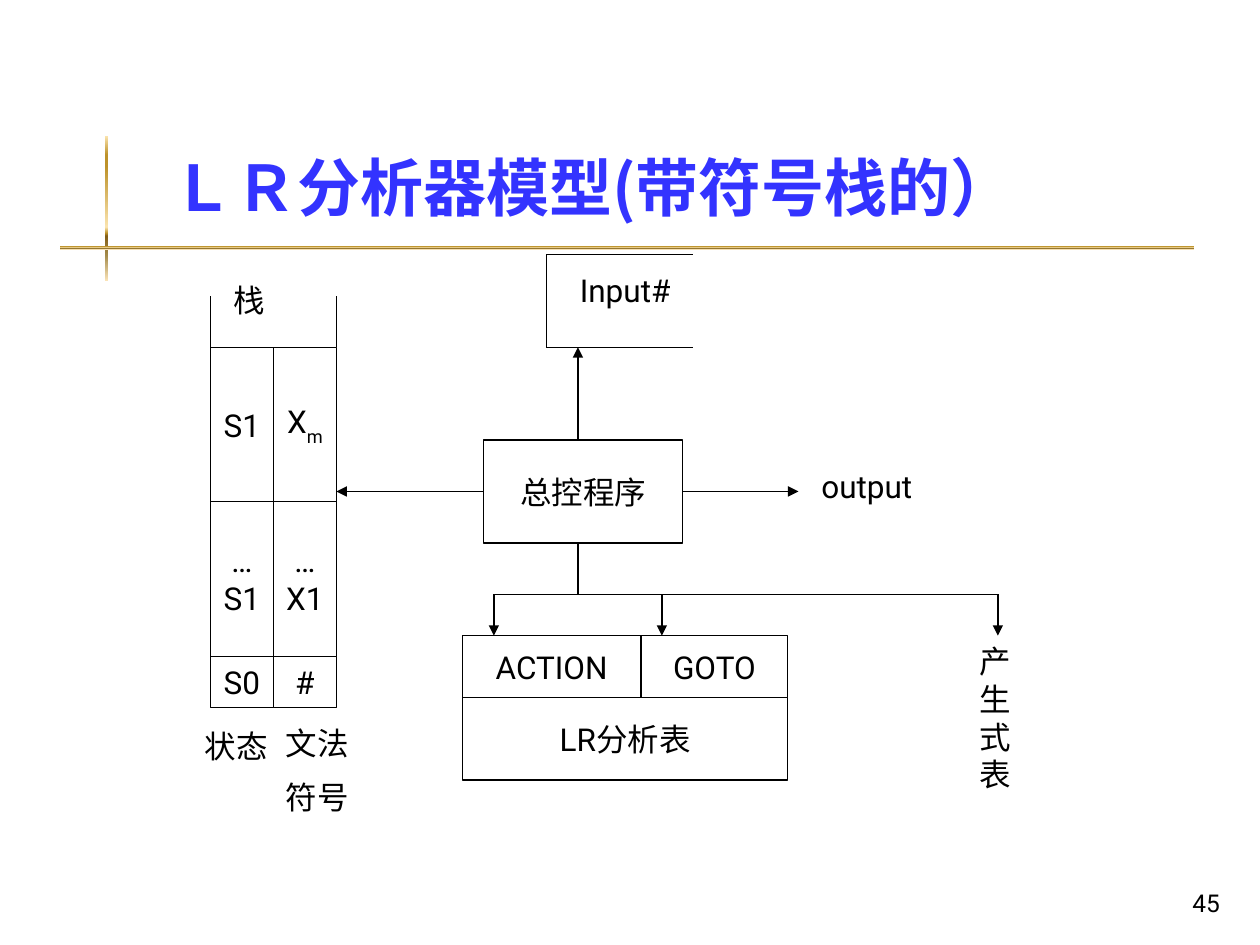
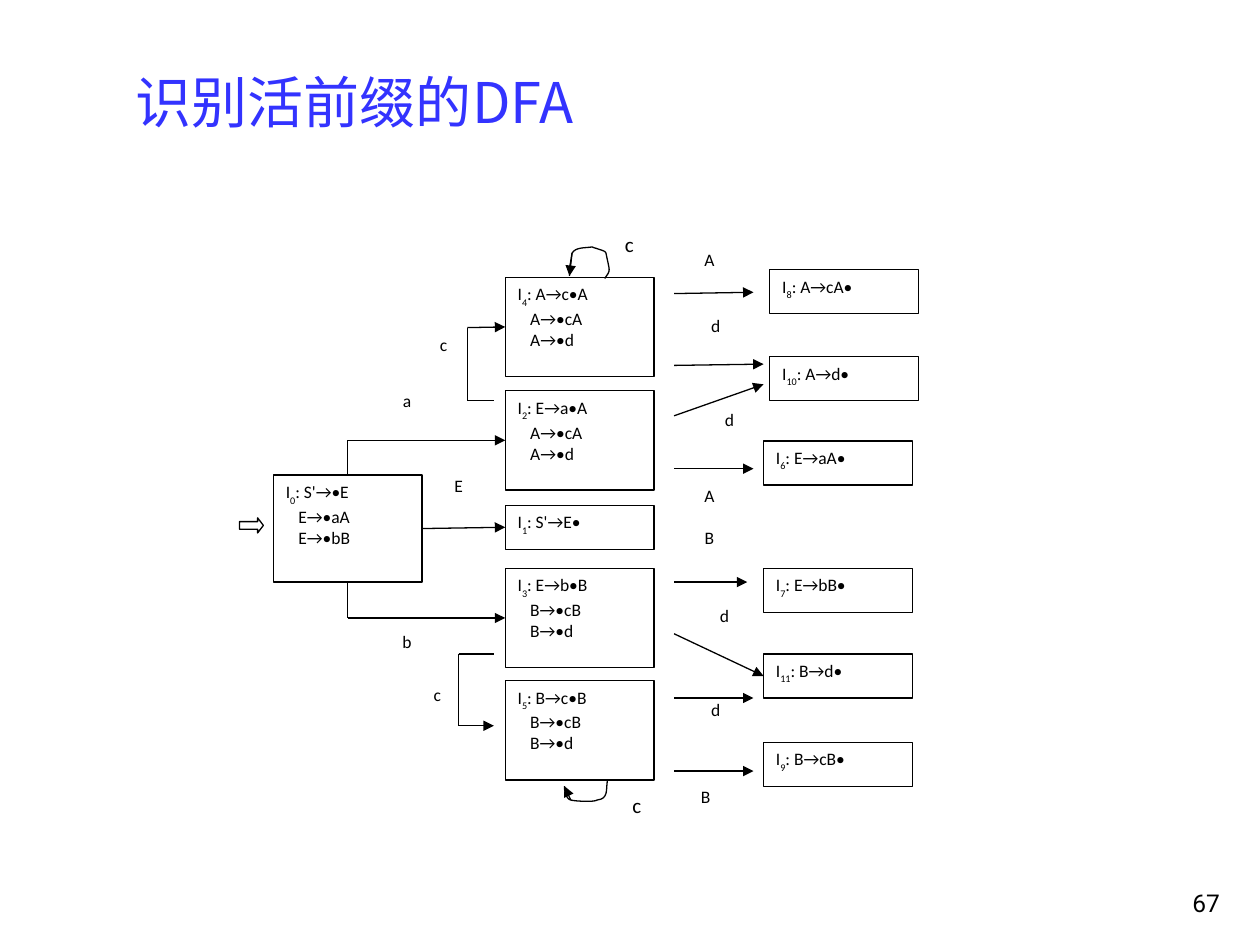
import dataclasses
import lxml.etree
import pptx
import pptx.dml.color
import pptx.enum.dml
import pptx.enum.shapes
import pptx.enum.text
import pptx.oxml.ns
import pptx.util

INK = {"black": "000000", "white": "FFFFFF", "title": "3333FF"}
GOLD = [(0, "FBE4AE"), (13, "BD922A"), (21, "BD922A"), (63, "FBE4AE"),
        (67, "BD922A"), (69, "835E17"), (82, "A28949"), (100, "FAE3B7")]
HAN, BODY, SMALL = "Noto Sans CJK JP", "Roboto", "Calibri"
WIDE, HIGH = 10, 7.5
KIND = pptx.enum.shapes.MSO_SHAPE
ALIGN = pptx.enum.text.PP_ALIGN
ANCHOR = pptx.enum.text.MSO_ANCHOR


@dataclasses.dataclass
class Grid:
    """A box on a slide, split into columns and rows."""
    slide: object
    box: tuple
    cols: int
    rows: int

    def spot(self, x, y):
        """Turn a column and row into a place on the slide."""
        left, top, width, height = self.box
        return (pptx.util.Inches(left + x * width / self.cols),
                pptx.util.Inches(top + y * height / self.rows))

    def area(self, x, y, w, h):
        """Turn a cell span into left, top, width and height."""
        left, top = self.spot(x, y)
        right, base = self.spot(x + w, y + h)
        return left, top, right - left, base - top


def tint(name):
    """Look up a named colour."""
    return pptx.dml.color.RGBColor.from_string(INK[name])


def child(parent, tag, **attrs):
    """Append a drawing element to a parent."""
    return lxml.etree.SubElement(parent, pptx.oxml.ns.qn(tag), **attrs)


def write(frame, lines, size, font, color="black", bold=False, align=ALIGN.LEFT,
          anchor=ANCHOR.TOP, wrap=True, gap=0, indent=0):
    """Fill a text frame; parts between underscores become subscripts."""
    frame.word_wrap = wrap
    frame.vertical_anchor = anchor
    for row, line in enumerate(lines):
        para = frame.paragraphs[0] if row == 0 else frame.add_paragraph()
        para.alignment = align
        if row:
            para.space_before = pptx.util.Pt(gap)
            if indent:
                para._p.get_or_add_pPr().set("marL", str(pptx.util.Inches(indent)))
        for part, text in enumerate(line.split("_")):
            run = para.add_run()
            run.text = text
            run.font.size = pptx.util.Pt(size)
            run.font.name = font
            run.font.bold = bold
            run.font.color.rgb = tint(color)
            props = run._r.get_or_add_rPr()
            child(props, "a:ea", typeface=HAN)
            if part % 2:
                props.set("baseline", "-30000")


def note(grid, cell, lines, size=18, font=BODY, **style):
    """Place a plain text box."""
    box = grid.slide.shapes.add_textbox(*grid.area(*cell))
    write(box.text_frame, lines, size, font, **style)


def pen(line):
    """Give a line the thin black stroke."""
    line.color.rgb = tint("black")
    line.width = pptx.util.Pt(0.75)


def block(grid, cell, kind=KIND.RECTANGLE, edge=True):
    """Place a white shape, outlined unless told otherwise."""
    shape = grid.slide.shapes.add_shape(kind, *grid.area(*cell))
    shape.shadow.inherit = False
    shape.fill.solid()
    shape.fill.fore_color.rgb = tint("white")
    if edge:
        pen(shape.line)
    else:
        shape.line.fill.background()
    return shape


def cell(grid, place, *lines):
    """Place a box with centred text."""
    shape = block(grid, place)
    write(shape.text_frame, lines, 18, BODY, align=ALIGN.CENTER,
          anchor=ANCHOR.MIDDLE, wrap=False)
    return shape


def wire(grid, start, end, arrow=False):
    """Draw a line between points or (shape, side) joints."""
    free = [isinstance(tip[0], (int, float)) for tip in (start, end)]
    ends = [grid.spot(*tip) if loose else (tip[0].left, tip[0].top)
            for tip, loose in zip((start, end), free)]
    line = grid.slide.shapes.add_connector(
        pptx.enum.shapes.MSO_CONNECTOR.STRAIGHT, *ends[0], *ends[1])
    if not free[0]:
        line.begin_connect(*start)
    if not free[1]:
        line.end_connect(*end)
    pen(line.line)
    if arrow:
        child(line.line._get_or_add_ln(), "a:tailEnd", type="triangle")
    child(line._element.spPr, "a:effectLst")


def curve(grid, start, bends, steps=8):
    """Draw an open outline through cubic bends."""
    points, last = [], start
    for bend in bends:
        for step in range(1, steps + 1):
            t = step / steps
            mix = ((1 - t) ** 3, 3 * t * (1 - t) ** 2, 3 * t * t * (1 - t), t ** 3)
            points.append(grid.spot(*(sum(m * p[axis] for m, p in zip(mix, (last, *bend)))
                                      for axis in (0, 1))))
        last = bend[-1]
    path = grid.slide.shapes.build_freeform(*grid.spot(*start))
    path.add_line_segments(points, close=False)
    shape = path.convert_to_shape()
    shape.shadow.inherit = False
    shape.fill.background()
    pen(shape.line)


def bar(grid, place):
    """Place a golden gradient bar."""
    shape = block(grid, place, edge=False)
    shape.fill.gradient()
    shape.fill.gradient_angle = 270
    stops = shape._element.spPr.find(".//" + pptx.oxml.ns.qn("a:gsLst"))
    for stop in list(stops):
        stops.remove(stop)
    for share, shade in GOLD:
        child(child(stops, "a:gs", pos=str(share * 1000)), "a:srgbClr", val=shade)


def frame(deck, title, place, size, number, bold=False, bars=False):
    """Start a slide with its title, page number and bars."""
    slide = deck.slides.add_slide(deck.slide_layouts[6])
    grid = Grid(slide, (0, 0, WIDE, HIGH), 100, 75)
    if bars:
        bar(grid, (8.3, 10.8, 0.3, 11.5))
        bar(grid, (4.8, 19.5, 90, 0.3))
    note(grid, place, [title], size, HAN, color="title", bold=bold, anchor=ANCHOR.BOTTOM)
    note(grid, (77, 68.3, 20.8, 5), [number], 14, align=ALIGN.RIGHT, anchor=ANCHOR.BOTTOM)
    return slide


def stack(grid):
    """Draw the state and symbol stack."""
    pairs = [(9, 15, ["S1"], ["X_m_"]), (24, 15, ["…", "S1"], ["…", "X1"]),
             (39, 5, ["S0"], ["#"])]
    for top, high, *sides in pairs:
        for side, lines in enumerate(sides):
            cell(grid, (side * 6, top, 6, high), *lines)
    for wall in (0, 12):
        wire(grid, (wall, 9), (wall, 4))
    note(grid, (1, 2, 9, 6), ["栈"])
    note(grid, (-1.7, 45.3, 10, 5), ["状态"])
    note(grid, (6, 45, 9, 10.5), ["文法", "符号"], gap=9)


def model(grid):
    """Draw the parser's control, input, output and tables."""
    stack(grid)
    core = cell(grid, (26, 18, 19, 10), "总控程序")
    wire(grid, (core, 3), (56, 23), True)
    wire(grid, (core, 1), (12, 23), True)
    wire(grid, (35, 18), (35, 9), True)
    note(grid, (57, 20, 14, 6), ["output"])
    for row in (0, 9):
        wire(grid, (32, row), (46, row))
    wire(grid, (32, 0), (32, 9))
    note(grid, (34, 1, 14, 6), ["Input#"])
    cell(grid, (24, 37, 17, 6), "ACTION")
    cell(grid, (41, 37, 14, 6), "GOTO")
    cell(grid, (24, 43, 31, 8), "LR分析表")
    wire(grid, (35, 28), (35, 33))
    wire(grid, (27, 33), (75, 33))
    for drop in (27, 43, 75):
        wire(grid, (drop, 33), (drop, 37), True)
    note(grid, (72.1, 37, 6.8, 16), ["产生式表"])


def labels(grid):
    """Place the letters that name the moves."""
    marks = [("d", 36.6, 37.1), ("E", 16.2, 19.3), ("a", 12.1, 12.6), ("b", 12.1, 31.7),
             ("c", 15, 8.1), ("c", 14.5, 35.9), ("A", 36.1, 1.4), ("A", 36.1, 20.1),
             ("d", 36.6, 6.6), ("d", 37.7, 14.1), ("B", 35.8, 44), ("B", 36.1, 23.4),
             ("d", 37.3, 29.6), ("c", 30.1, 44.5, 12), ("c", 29.5, 0, 12)]
    for mark, x, y, *size in marks:
        shape = block(grid, (x, y, 2.9 if size else 2.4, 3.6), edge=False)
        shape.text_frame.margin_left = shape.text_frame.margin_right = 0
        write(shape.text_frame, [mark], size[0] if size else 10, SMALL, align=ALIGN.CENTER)


def states(grid):
    """Place the item sets and return them by number."""
    sets = {0: (2.7, 19.8, 8.5, ": S'→•E", "E→•aA", "E→•bB"),
            4: (21.1, 4.1, 7.9, ": A→c•A", "A→•cA", "A→•d"),
            2: (21.1, 13.1, 7.9, ": E→a•A", "A→•cA", "A→•d"),
            1: (21.1, 22.2, 3.5, ": S'→E•"),
            3: (21.1, 27.2, 7.9, ": E→b•B", "B→•cB", "B→•d"),
            5: (21.1, 36.1, 7.9, ": B→c•B", "B→•cB", "B→•d"),
            8: (42.1, 3.5, 3.5, ": A→cA•"), 10: (42.1, 10.4, 3.5, ": A→d•"),
            6: (41.6, 17.1, 3.5, ": E→aA•"), 7: (41.6, 27.2, 3.5, ": E→bB•"),
            11: (41.6, 34, 3.5, ": B→d•"), 9: (41.6, 41, 3.5, ": B→cB•")}
    made = {}
    for key, (x, y, high, first, *rest) in sets.items():
        made[key] = block(grid, (x, y, 11.8, high))
        write(made[key].text_frame, [f"I_{key}_{first}", *rest], 10, SMALL, indent=0.1)
    return made


def loops(grid):
    """Draw the two curved moves from a state to itself."""
    curve(grid, (29, 4.2), [((29.5, 3.5), (29.4, 3.7), (29.1, 2.2)),
                            ((29.1, 2), (28.5, 1.9), (28.3, 1.8)),
                            ((28.2, 1.8), (28, 1.7), (28, 1.7)),
                            ((27.4, 1.8), (26.7, 1.7), (26.4, 2.2)),
                            ((26.2, 3.6), (26.2, 3), (26.2, 4))])
    wire(grid, (26.4, 2.2), (26.2, 4), True)
    curve(grid, (29.2, 44.1), [((29.1, 44.8), (29.3, 45.5), (28.4, 45.6)),
                               ((28.2, 45.7), (27.9, 45.7), (27.7, 45.7)),
                               ((27.2, 45.7), (26.8, 45.7), (26.3, 45.6)),
                               ((25.9, 45.5), (25.8, 44.8), (25.8, 44.5))])
    wire(grid, (26.3, 45.6), (25.8, 44.5), True)


def graph(grid):
    """Draw the automaton with its states and moves."""
    labels(grid)
    item = states(grid)
    entry = block(grid, (0, 23.2, 1.9, 1.2), KIND.RIGHT_ARROW)
    entry.adjustments[1] = 0.38
    wire(grid, (item[0], 3), (item[1], 1), True)
    for side, row, goal in ((0, 17.05, 2), (2, 31.15, 3)):
        wire(grid, (item[0], side), (8.6, row))
        wire(grid, (8.6, row), (item[goal], 1), True)
    wire(grid, (18.1, 8.1), (18.1, 13.9))
    wire(grid, (18.1, 8.1), (item[4], 1), True)
    wire(grid, (18.1, 13.9), (20.2, 13.9))
    wire(grid, (17.4, 34), (17.4, 39.7))
    wire(grid, (17.4, 39.7), (20.2, 39.7), True)
    wire(grid, (17.4, 34), (20.2, 34))
    for row, goal in ((5.4, (40.8, 5.3)), (11.1, (41.6, 11)), (15.1, (41.6, 12.6)),
                      (19.3, (40.8, 19.3)), (28.3, (40.3, 28.3)), (32.4, (item[11], 1)),
                      (37.5, (40.8, 37.5)), (43.3, (40.8, 43.3))):
        wire(grid, (34.5, row), goal, True)
    loops(grid)


def main():
    """Build and save the deck."""
    deck = pptx.Presentation()
    deck.slide_width = pptx.util.Inches(WIDE)
    deck.slide_height = pptx.util.Inches(HIGH)
    slide = frame(deck, "ＬＲ分析器模型(带符号栈的）", (12.6, 2.3, 85.2, 16), 36, "45",
                  bold=True, bars=True)
    model(Grid(slide, (1.67, 2.02, 6.25, 4.17), 75, 51))
    slide = frame(deck, "识别活前缀的DFA", (9.8, 5.2, 85.2, 6), 32, "67")
    graph(Grid(slide, (1.9, 1.79, 5.4, 4.8), 54, 48))
    deck.save("out.pptx")


if __name__ == "__main__":
    main()
